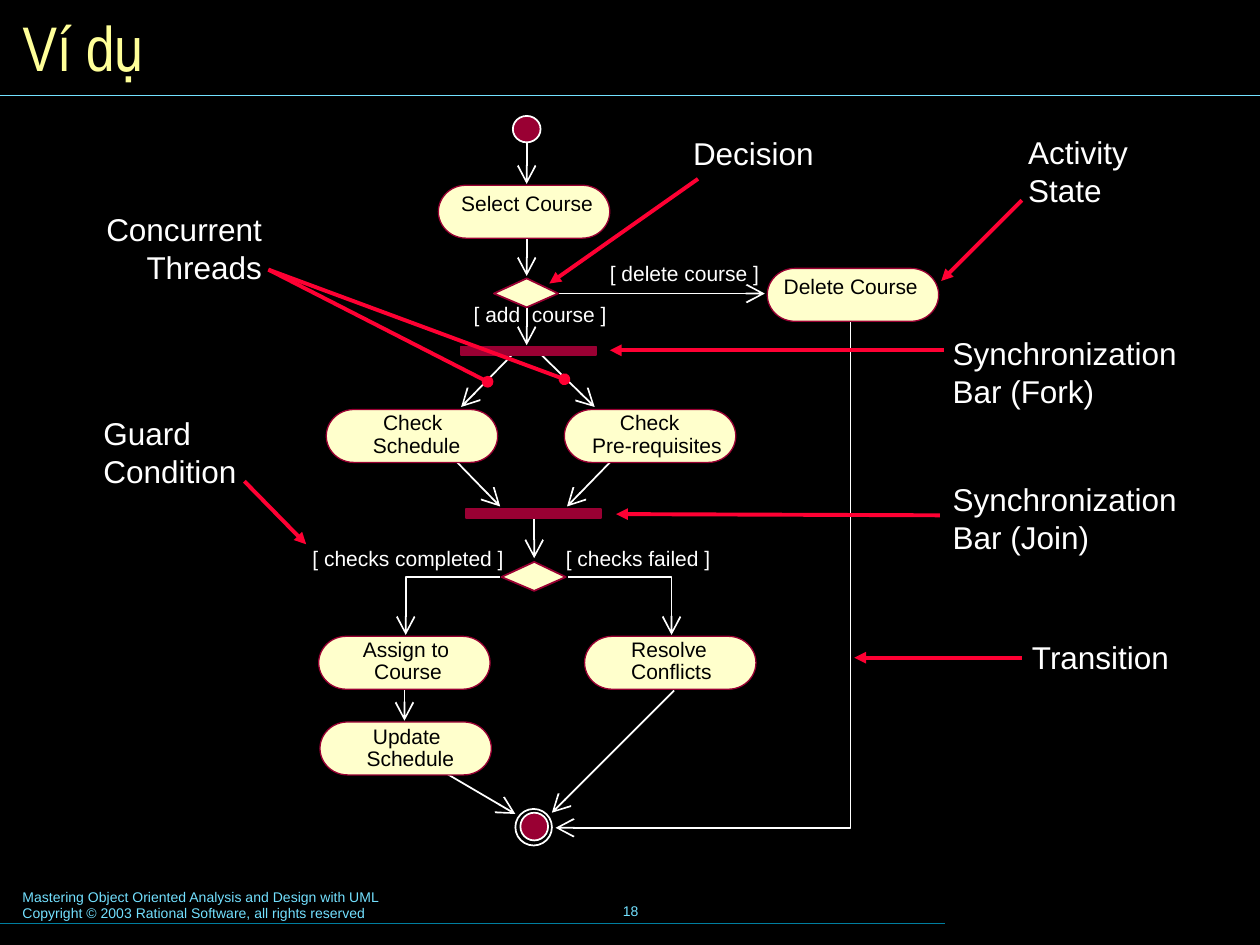
from pptx import Presentation, util as u
from pptx.dml.color import RGBColor
from pptx.enum import shapes, text
from pptx.oxml.ns import qn
from lxml import etree

BLACK = RGBColor(0x00, 0x00, 0x00)
WHITE = RGBColor(0xFF, 0xFF, 0xFF)
CREAM = RGBColor(0xFF, 0xFF, 0xCC)
YELLOW = RGBColor(0xFF, 0xFF, 0x99)
MAROON = RGBColor(0x99, 0x00, 0x33)
RED = RGBColor(0xFF, 0x00, 0x33)
CYAN = RGBColor(0x73, 0xE1, 0xFF)
TEAL = RGBColor(0x00, 0x7E, 0x9F)

LEFT, CENTER, RIGHT = text.PP_ALIGN.LEFT, text.PP_ALIGN.CENTER, text.PP_ALIGN.RIGHT
ACTIVITY_SIZE = (1.36, 0.42)
BAR_SIZE = (1.07, 0.07)

TRANSITIONS = [
    [(4.18, 1.13), (4.18, 1.46)],
    [(4.18, 1.88), (4.18, 2.19)],
    [(4.43, 2.33), (6.07, 2.33)],
    [(4.18, 2.43), (4.18, 2.74)],
    [(4.09, 2.79), (3.66, 3.23)],
    [(4.28, 2.80), (4.72, 3.23)],
    [(3.61, 3.65), (3.97, 4.02)],
    [(4.86, 3.65), (4.50, 4.02)],
    [(4.24, 4.08), (4.24, 4.43)],
    [(3.97, 4.58), (3.22, 4.58), (3.22, 5.04)],
    [(4.51, 4.58), (5.33, 4.58), (5.33, 5.04)],
    [(3.21, 5.48), (3.21, 5.72)],
    [(3.51, 6.12), (4.09, 6.46)],
    [(5.35, 5.48), (4.38, 6.45)],
    [(6.75, 2.54), (6.75, 6.57), (4.41, 6.57)],
]
ACTIVITIES = [
    (3.48, 1.47, [("Select Course", 3.66, 1.51, 1.05)]),
    (6.09, 2.13, [("Delete Course", 6.22, 2.17, 1.07)]),
    (2.59, 3.25, [("Check", 3.04, 3.25, 0.52), ("Schedule", 2.96, 3.43, 0.70)]),
    (4.48, 3.25, [("Check", 4.92, 3.25, 0.52), ("Pre-requisites", 4.70, 3.43, 1.03)]),
    (2.53, 5.05, [("Assign to", 2.88, 5.05, 0.73), ("Course", 2.97, 5.23, 0.54)]),
    (4.64, 5.05, [("Resolve", 5.01, 5.05, 0.65), ("Conflicts", 5.01, 5.23, 0.64)]),
    (2.54, 5.73, [("Update", 2.96, 5.74, 0.58), ("Schedule", 2.91, 5.92, 0.70)]),
]
GUARDS = [
    ("[ delete course ]", 4.84, 2.07, 1.19),
    ("[ add  course ]", 3.76, 2.39, 1.10),
    ("[ checks completed ]", 2.48, 4.33, 1.52),
    ("[ checks failed ]", 4.49, 4.33, 1.15),
]
CALLOUT_LABELS = [
    (["Decision"], 5.38, 1.00, 1.21, LEFT),
    (["Activity State"], 8.04, 1.00, 1.05, LEFT),
    (["Concurrent Threads"], 0.53, 1.61, 1.67, RIGHT),
    (["Synchronization", "Bar (Fork)"], 7.44, 2.59, 2.05, LEFT),
    (["Guard", "Condition"], 0.70, 3.23, 1.31, LEFT),
    (["Synchronization", "Bar (Join)"], 7.44, 3.75, 2.05, LEFT),
    (["Transition"], 8.07, 5.00, 1.42, LEFT),
]
CALLOUT_POINTERS = [
    ((4.36, 2.25), (5.54, 1.42), "triangle"),
    ((7.47, 2.23), (8.11, 1.59), "triangle"),
    ((3.87, 3.03), (2.13, 2.14), "oval"),
    ((4.48, 3.01), (2.13, 2.14), "oval"),
    ((4.84, 2.78), (7.49, 2.78), "triangle"),
    ((2.43, 4.32), (1.94, 3.82), "triangle"),
    ((4.89, 4.08), (7.46, 4.09), "triangle"),
    ((6.78, 5.22), (8.11, 5.22), "triangle"),
]


def add_run(paragraph, words, size, color, font="Arial"):
    """Add one formatted run to a paragraph."""
    run = paragraph.add_run()
    run.text = words
    run.font.name = font
    run.font.size = u.Pt(size)
    run.font.color.rgb = color


def add_text(slide, lines, box, size, color, align=LEFT, margins=(0, 0), wrap=True,
             anchor=text.MSO_ANCHOR.TOP):
    """Add a text box with one paragraph for each line."""
    frame = slide.shapes.add_textbox(*map(u.Inches, box)).text_frame
    frame.word_wrap = wrap
    frame.vertical_anchor = anchor
    frame.margin_left = frame.margin_right = u.Inches(margins[0])
    frame.margin_top = frame.margin_bottom = u.Inches(margins[1])
    for index, line in enumerate(lines):
        paragraph = frame.add_paragraph() if index else frame.paragraphs[0]
        paragraph.alignment = align
        add_run(paragraph, line, size, color)


def add_small_label(slide, words, left, top, width, color):
    """Add a single-line diagram label."""
    add_text(slide, [words], (left, top, width, 0.2), 12, color, wrap=False)


def style_shape(shape, fill, outline, width=1):
    """Set the fill and outline of a shape and drop its shadow."""
    shape.shadow.inherit = False
    if fill is None:
        shape.fill.background()
    else:
        shape.fill.solid()
        shape.fill.fore_color.rgb = fill
    shape.line.color.rgb = outline
    shape.line.width = u.Pt(width)


def add_node(slide, kind, box, fill, outline, width=1):
    """Add a preset shape."""
    shape = slide.shapes.add_shape(kind, *map(u.Inches, box))
    style_shape(shape, fill, outline, width)


def add_outline(slide, points, closed, fill, outline):
    """Add a freeform through the given points."""
    start, *others = [(u.Inches(x), u.Inches(y)) for x, y in points]
    builder = slide.shapes.build_freeform(*start)
    builder.add_line_segments(others, close=closed)
    shape = builder.convert_to_shape()
    style_shape(shape, fill, outline)
    return shape


def add_line(slide, start, end, color, width):
    """Add a straight connector without a shadow."""
    line = slide.shapes.add_connector(
        shapes.MSO_CONNECTOR.STRAIGHT, *map(u.Inches, (*start, *end)))
    line.line.color.rgb = color
    line.line.width = u.Pt(width)
    etree.SubElement(line.element.spPr, qn("a:effectLst"))
    return line


def add_line_end(shape, end, kind, size="med"):
    """Put an arrowhead on the headEnd or tailEnd of a line."""
    outline = shape.element.spPr.find(qn("a:ln"))
    etree.SubElement(outline, qn(f"a:{end}"), type=kind, w=size, len=size)


def add_transition(slide, points):
    """Add a white arrow, straight or with a corner."""
    if len(points) == 2:
        arrow = add_line(slide, *points, WHITE, 1)
    else:
        arrow = add_outline(slide, points, False, None, WHITE)
    add_line_end(arrow, "tailEnd", "arrow", "lg")


def add_decision(slide, x, y):
    """Add a decision diamond around its middle."""
    points = [(x - 0.26, y), (x, y - 0.12), (x + 0.25, y), (x, y + 0.11)]
    add_outline(slide, points, True, CREAM, MAROON)


def add_frame(slide):
    """Add the title, rules and footer."""
    title = slide.shapes.title
    title.left, title.top, title.width, title.height = map(u.Inches, (0.08, 0.08, 9.84, 0.58))
    frame = title.text_frame
    frame.auto_size = text.MSO_AUTO_SIZE.NONE
    frame.vertical_anchor = text.MSO_ANCHOR.MIDDLE
    frame.paragraphs[0].alignment = LEFT
    add_run(frame.paragraphs[0], "Ví dụ", 36, YELLOW, "Arial Narrow")
    add_line(slide, (0, 0.76), (10, 0.76), CYAN, 0.75)
    add_line(slide, (0, 7.33), (7.5, 7.33), TEAL, 0.75)
    footer = ["Mastering Object Oriented Analysis and Design with UML",
              "Copyright © 2003 Rational Software, all rights reserved"]
    add_text(slide, footer, (0.08, 7, 5.1, 0.37), 8, CYAN, margins=(0.1, 0.05))
    add_text(slide, ["18"], (3.42, 6.98, 3.17, 0.5), 8, CYAN, CENTER, (0.1, 0.05), False,
             text.MSO_ANCHOR.MIDDLE)


def main():
    """Build the activity diagram slide."""
    presentation = Presentation()
    presentation.slide_width, presentation.slide_height = u.Inches(10), u.Inches(7.5)
    slide = presentation.slides.add_slide(presentation.slide_layouts[5])
    slide.background.fill.solid()
    slide.background.fill.fore_color.rgb = BLACK
    add_frame(slide)

    kinds = shapes.MSO_SHAPE
    for points in TRANSITIONS:
        add_transition(slide, points)
    for left, top, labels in ACTIVITIES:
        box = (left, top, *ACTIVITY_SIZE)
        add_node(slide, kinds.FLOWCHART_TERMINATOR, box, CREAM, MAROON, 0.75)
        for label in labels:
            add_small_label(slide, *label, BLACK)
    for middle in ((4.18, 2.33), (4.24, 4.58)):
        add_decision(slide, *middle)
    for corner in ((3.66, 2.75), (3.70, 4.04)):
        add_node(slide, kinds.RECTANGLE, (*corner, *BAR_SIZE), MAROON, MAROON)
    add_node(slide, kinds.OVAL, (4.07, 0.92, 0.22, 0.21), MAROON, WHITE)
    add_node(slide, kinds.OVAL, (4.09, 6.42, 0.29, 0.29), None, WHITE)
    add_node(slide, kinds.OVAL, (4.13, 6.45, 0.22, 0.22), MAROON, WHITE)
    for guard in GUARDS:
        add_small_label(slide, *guard, WHITE)

    for lines, left, top, width, align in CALLOUT_LABELS:
        add_text(slide, lines, (left, top, width, 0.72), 18, WHITE, align, (0.12, 0.06))
    for tip, start, kind in CALLOUT_POINTERS:
        add_line_end(add_line(slide, tip, start, RED, 2.25), "headEnd", kind)
    presentation.save("out.pptx")


if __name__ == "__main__":
    main()
